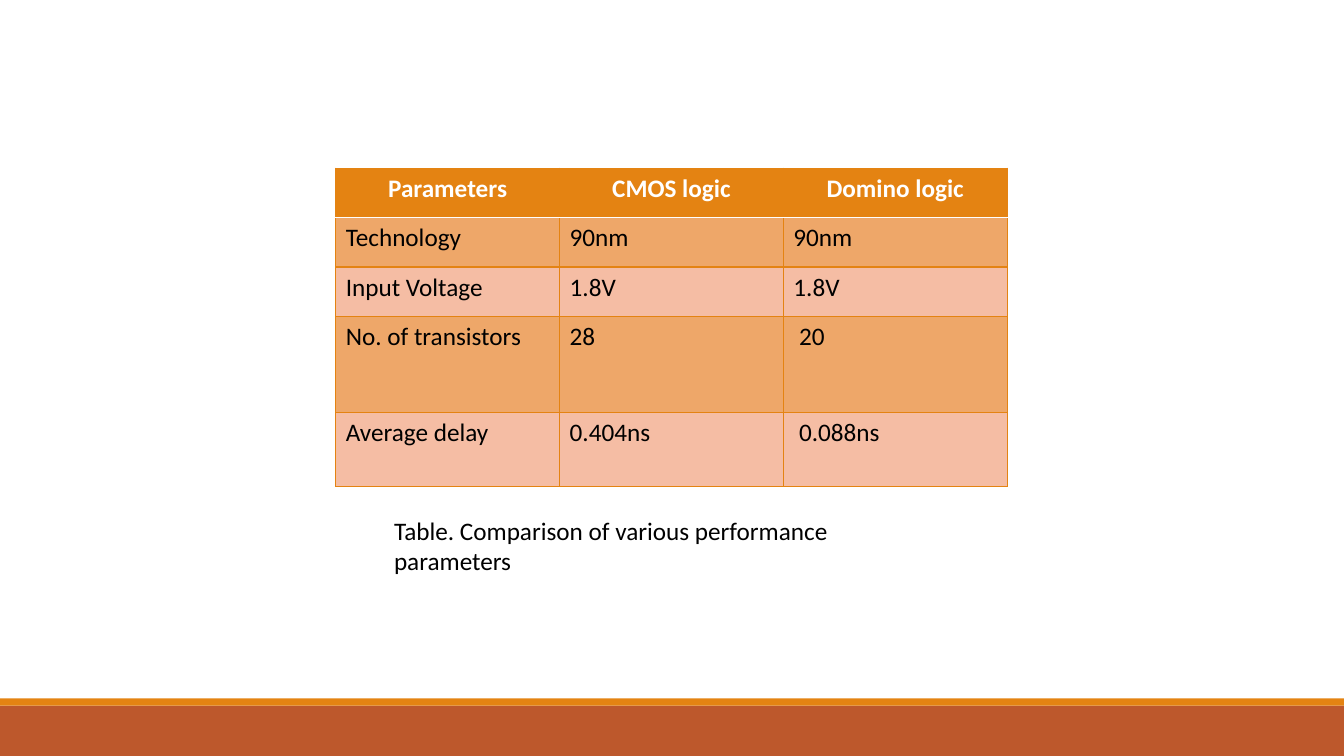
from dataclasses import dataclass

from lxml.etree import SubElement
from pptx import Presentation
from pptx.dml.color import RGBColor
from pptx.enum.shapes import MSO_SHAPE
from pptx.enum.text import PP_ALIGN
from pptx.oxml.ns import qn
from pptx.util import Inches, Pt


@dataclass(frozen=True)
class Theme:
    orange: str = "E48312"
    rust: str = "BD582C"
    dark_row: str = "EEA769"
    light_row: str = "F5BDA4"
    white: str = "FFFFFF"
    black: str = "000000"
    font: str = "Calibri"
    size: int = 18


theme = Theme()


def write(tf, text, color=theme.black, bold=False, align=PP_ALIGN.LEFT):
    p = tf.paragraphs[0]
    p.alignment = align
    r = p.add_run()
    r.text = text
    for name, value in {"name": theme.font, "size": Pt(theme.size), "bold": bold}.items():
        setattr(r.font, name, value)
    r.font.color.rgb = RGBColor.from_string(color)


def add_border(cell, side, color, width):
    """Draw one cell edge; side is L, R, T or B, and edges go before the fill."""
    ln = SubElement(cell._tc.get_or_add_tcPr(), qn(f"a:ln{side}"), w=str(Pt(width)))
    fill = SubElement(ln, qn("a:solidFill"))
    SubElement(fill, qn("a:srgbClr"), val=color)


prs = Presentation()
prs.slide_width, prs.slide_height = Inches(13.33), Inches(7.5)
s = prs.slides.add_slide(prs.slide_layouts[6])

# Footer bands
for top, height, color in [(7, 0.5, theme.rust), (6.93, 0.07, theme.orange)]:
    band = s.shapes.add_shape(MSO_SHAPE.RECTANGLE, 0, Inches(top), prs.slide_width, Inches(height))
    band.shadow.inherit = False
    band.fill.solid()
    band.fill.fore_color.rgb = RGBColor.from_string(color)
    band.line.fill.background()

# Comparison table
rows = [
    ("Parameters", "CMOS logic", "Domino logic"),
    ("Technology", "90nm", "90nm"),
    ("Input Voltage", "1.8V", "1.8V"),
    ("No. of transistors", "28", " 20"),
    ("Average delay", "0.404ns", " 0.088ns"),
]
row_heights = [0.49, 0.49, 0.49, 0.95, 0.74]
col_width = 2.22
table = s.shapes.add_table(
    len(rows), len(rows[0]), Inches(3.33), Inches(1.67),
    Inches(col_width * len(rows[0])), Inches(sum(row_heights)),
).table
for col in table.columns:
    col.width = Inches(col_width)

for i, (texts, height) in enumerate(zip(rows, row_heights)):
    table.rows[i].height = Inches(height)
    header = i == 0
    fill = theme.orange if header else theme.dark_row if i % 2 else theme.light_row
    for j, text in enumerate(texts):
        cell = table.cell(i, j)
        for side in "LRTB":
            under_header = (i, side) in [(0, "B"), (1, "T")]
            add_border(cell, side, *((theme.white, 1.25) if under_header else (theme.orange, 1)))
        cell.fill.solid()
        cell.fill.fore_color.rgb = RGBColor.from_string(fill)
        if header:
            write(cell.text_frame, text, theme.white, True, PP_ALIGN.CENTER)
        else:
            write(cell.text_frame, text, align=PP_ALIGN.JUSTIFY)

# Caption
caption = s.shapes.add_textbox(Inches(3.81), Inches(5.06), Inches(5.7), Inches(0.4))
caption.text_frame.word_wrap = True
write(caption.text_frame, "Table. Comparison of various performance parameters")

prs.save("out.pptx")
